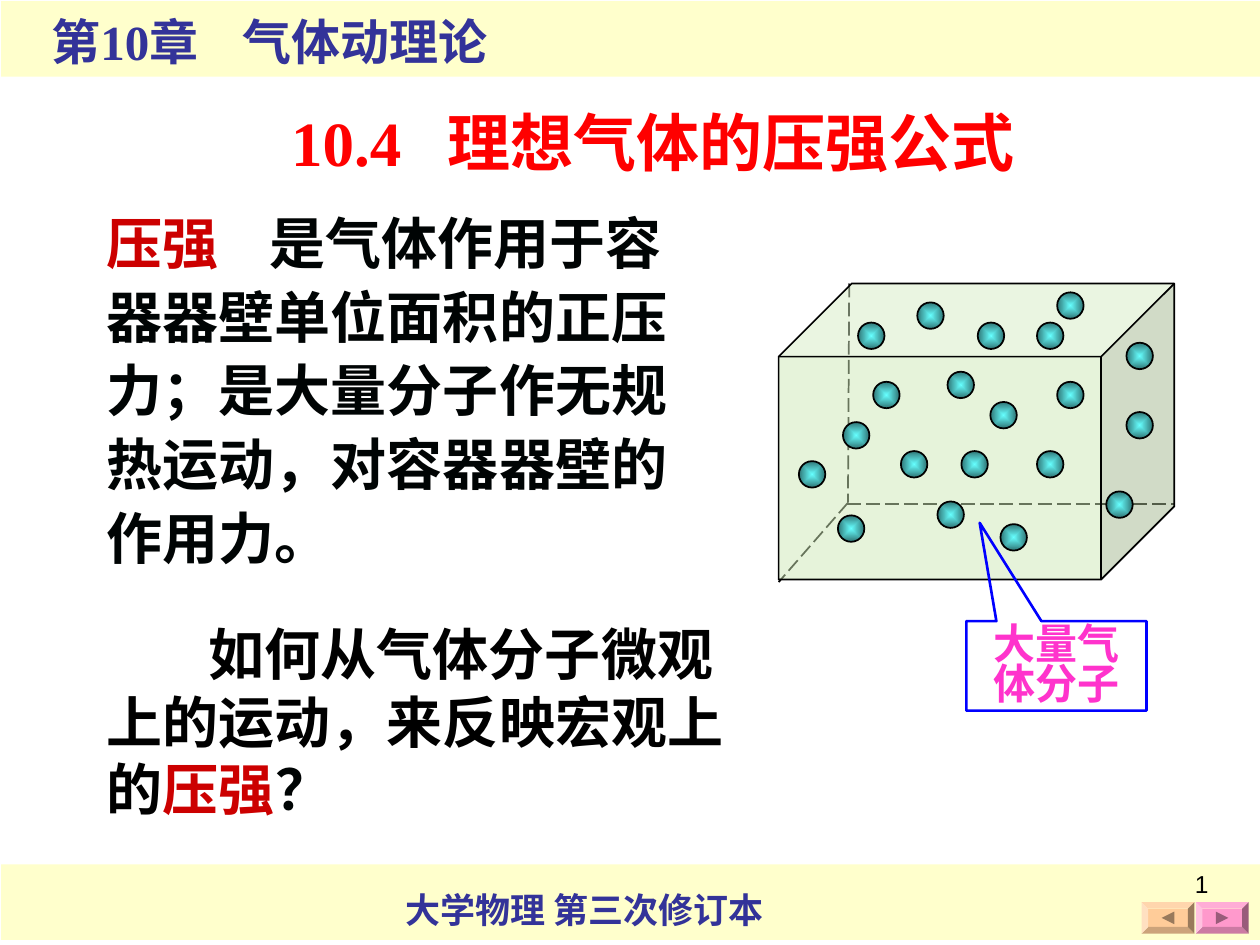
from lxml.etree import SubElement
from pptx import Presentation
from pptx.dml.color import RGBColor
from pptx.enum.dml import MSO_LINE
from pptx.enum.shapes import MSO_CONNECTOR, MSO_SHAPE
from pptx.enum.text import MSO_ANCHOR, MSO_AUTO_SIZE, PP_ALIGN
from pptx.oxml import parse_xml
from pptx.oxml.ns import nsdecls, qn
from pptx.util import Inches, Pt

BLACK = RGBColor(0x00, 0x00, 0x00)
INK = RGBColor(0x00, 0x04, 0x04)
RED = RGBColor(0xFF, 0x00, 0x00)
DARK_RED = RGBColor(0xCC, 0x00, 0x00)
NAVY = RGBColor(0x33, 0x33, 0x99)
BLUE = RGBColor(0x00, 0x00, 0xFF)
MAGENTA = RGBColor(0xFF, 0x33, 0xCC)
CREAM = RGBColor(0xFF, 0xFF, 0xCC)
GREEN = RGBColor(0xCE, 0xE8, 0xB6)
CYAN = RGBColor(0x66, 0xFF, 0xFF)
TEAL = RGBColor(0x2F, 0x75, 0x75)
PEACH = RGBColor(0xFF, 0xCC, 0x99)
BROWN = RGBColor(0x99, 0x7A, 0x5C)
PINK = RGBColor(0xFF, 0x99, 0xCC)
PLUM = RGBColor(0x99, 0x5C, 0x7A)

MOLECULE_SIZE = 0.21
MOLECULES = [
    (6.69, 3.35), (6.93, 3.03), (7.94, 4.16), (6.65, 4.09), (7.86, 3.19),
    (7.63, 3.58), (8.23, 3.58), (7.52, 2.95), (7.15, 3.58), (6.81, 2.56),
    (7.28, 2.40), (7.44, 3.98), (8.94, 3.27), (8.39, 3.03), (8.23, 2.56),
    (8.78, 3.90), (6.34, 3.66), (7.76, 2.56), (8.94, 2.72), (8.39, 2.32),
]
HIDDEN_EDGES = [
    ((6.74, 2.25), (6.73, 3.99)),
    ((6.72, 4.00), (9.32, 4.00)),
    ((6.73, 3.99), (6.18, 4.62)),
]


class SlideBuilder:
    font = "Times New Roman"

    def __init__(self, page):
        self.page = page

    def fill_text(self, box, spans, size, bold=True, font=None, align=PP_ALIGN.LEFT,
                  line_spacing=None, indent=0, tab=None):
        """Fill a box with one paragraph made of (text, colour) spans."""
        frame = box.text_frame
        frame.word_wrap = True
        frame.auto_size = MSO_AUTO_SIZE.NONE
        frame.vertical_anchor = MSO_ANCHOR.TOP
        para = frame.paragraphs[0]
        para.alignment = align
        if line_spacing:
            para.line_spacing = line_spacing
        properties = para._p.get_or_add_pPr()
        if indent:
            properties.set("indent", str(Inches(indent)))
        if tab:
            tabs = SubElement(properties, qn("a:tabLst"))
            SubElement(tabs, qn("a:tab"), pos=str(Inches(tab)), algn="l")
        for text, colour in spans:
            span = para.add_run()
            span.text = text
            span.font.name = font or self.font
            span.font.size = Pt(size)
            span.font.bold = bold
            span.font.color.rgb = colour

    def title(self, place, spans, size, **style):
        box = self.page.shapes.title
        box.left, box.top, box.width, box.height = map(Inches, place)
        self.fill_text(box, spans, size, **style)

    def text(self, place, spans, size, **style):
        box = self.page.shapes.add_textbox(*map(Inches, place))
        self.fill_text(box, spans, size, **style)

    def shape(self, kind, place, fill=None, line=None, weight=1, adjust=()):
        shape = self.page.shapes.add_shape(kind, *map(Inches, place))
        for index, value in enumerate(adjust):
            shape.adjustments[index] = value
        return self.paint(shape, fill, line, weight)

    def paint(self, shape, fill, line=None, weight=1):
        shape.shadow.inherit = False
        if fill is None:
            shape.fill.background()
        else:
            shape.fill.solid()
            shape.fill.fore_color.rgb = fill
        if line is None:
            shape.line.fill.background()
        else:
            shape.line.color.rgb = line
            shape.line.width = Pt(weight)
        return shape

    def dashed_line(self, start, end):
        edge = self.page.shapes.add_connector(
            MSO_CONNECTOR.STRAIGHT, *map(Inches, start + end))
        edge.line.color.rgb = BLACK
        edge.line.width = Pt(1)
        edge.line.dash_style = MSO_LINE.LONG_DASH
        SubElement(edge._element.spPr, qn("a:effectLst"))

    def glass_cube(self, place, depth):
        cube = self.shape(MSO_SHAPE.CUBE, place, GREEN, BLACK, adjust=[depth])
        colour = cube._element.spPr.find(qn("a:solidFill"))[0]
        SubElement(colour, qn("a:alpha"), val="50000")

    def molecule(self, left, top):
        ball = self.shape(MSO_SHAPE.OVAL, (left, top, MOLECULE_SIZE, MOLECULE_SIZE),
                          TEAL, BLACK)
        ball.fill.gradient()
        for stop, colour in zip(ball.fill.gradient_stops, (CYAN, TEAL)):
            stop.color.rgb = colour
        gradient = ball._element.spPr.find(qn("a:gradFill"))
        gradient.replace(gradient.find(qn("a:lin")), parse_xml(
            f'<a:path {nsdecls("a")} path="rect">'
            '<a:fillToRect l="50000" t="50000" r="50000" b="50000"/></a:path>'))

    def arrow_button(self, left, fill, arrow_colour, direction):
        """A bevelled button; direction is 1 for right and -1 for left."""
        top, width, height = 7.16, 0.42, 0.25
        self.shape(MSO_SHAPE.BEVEL, (left, top, width, height), fill, adjust=[0.21])
        middle_x, middle_y = left + width / 2, top + height / 2
        tip, back = middle_x + 0.05 * direction, middle_x - 0.05 * direction
        outline = self.page.shapes.build_freeform(Inches(tip), Inches(middle_y))
        outline.add_line_segments([(Inches(back), Inches(middle_y - 0.05)),
                                   (Inches(back), Inches(middle_y + 0.05))])
        self.paint(outline.convert_to_shape(), arrow_colour)


def main():
    deck = Presentation()
    deck.slide_width, deck.slide_height = Inches(10), Inches(7.5)
    builder = SlideBuilder(deck.slides.add_slide(deck.slide_layouts[5]))

    # Header and footer bands
    for top in (6.86, 0.01):
        builder.shape(MSO_SHAPE.RECTANGLE, (0.01, top, 9.99, 0.6), CREAM)
    builder.text((3.12, 7, 3.12, 0.44), [("大学物理 第三次修订本", NAVY)], 20)
    builder.text((0.31, 0.04, 3.88, 0.57), [("第10章\t气体动理论", NAVY)], 28, tab=1.52)
    builder.arrow_button(9.49, PINK, PLUM, 1)
    builder.arrow_button(9.06, PEACH, BROWN, -1)

    # Section title
    builder.title((2.21, 0.77, 6.4, 0.7), [("10.4\t理想气体的压强公式", RED)], 36,
                  tab=1.24)

    # Container with gas molecules
    for start, end in HIDDEN_EDGES:
        builder.dashed_line(start, end)
    builder.glass_cube((6.18, 2.25, 3.14, 2.35), 0.247)
    for left, top in MOLECULES:
        builder.molecule(left, top)
    callout = builder.shape(MSO_SHAPE.RECTANGULAR_CALLOUT, (7.67, 4.93, 1.43, 0.71),
                            line=BLUE, weight=1.5, adjust=[-0.426, -1.6])
    builder.fill_text(callout, [("大量气体分子", MAGENTA)], 24,
                      align=PP_ALIGN.CENTER, line_spacing=0.8)

    # Definition and question
    builder.text((0.75, 1.55, 5.04, 3.04), [
        ("压强\t", DARK_RED),
        ("是气体作用于容器器壁单位面积的正压力；是大量分子作无规热运动，"
         "对容器器壁的作用力。", INK),
    ], 32, line_spacing=1.1, tab=1.29)
    builder.text((0.75, 4.87, 5.43, 1.7), [
        ("如何从气体分子微观上的运动，来反映宏观上的", BLACK),
        ("压强", DARK_RED),
        ("？", INK),
    ], 32, indent=0.81)

    # Page number
    builder.text((7.36, 6.85, 2.33, 0.52), [("1", BLACK)], 14, bold=False,
                 font="Arial", align=PP_ALIGN.RIGHT)

    deck.save("out.pptx")


if __name__ == "__main__":
    main()
